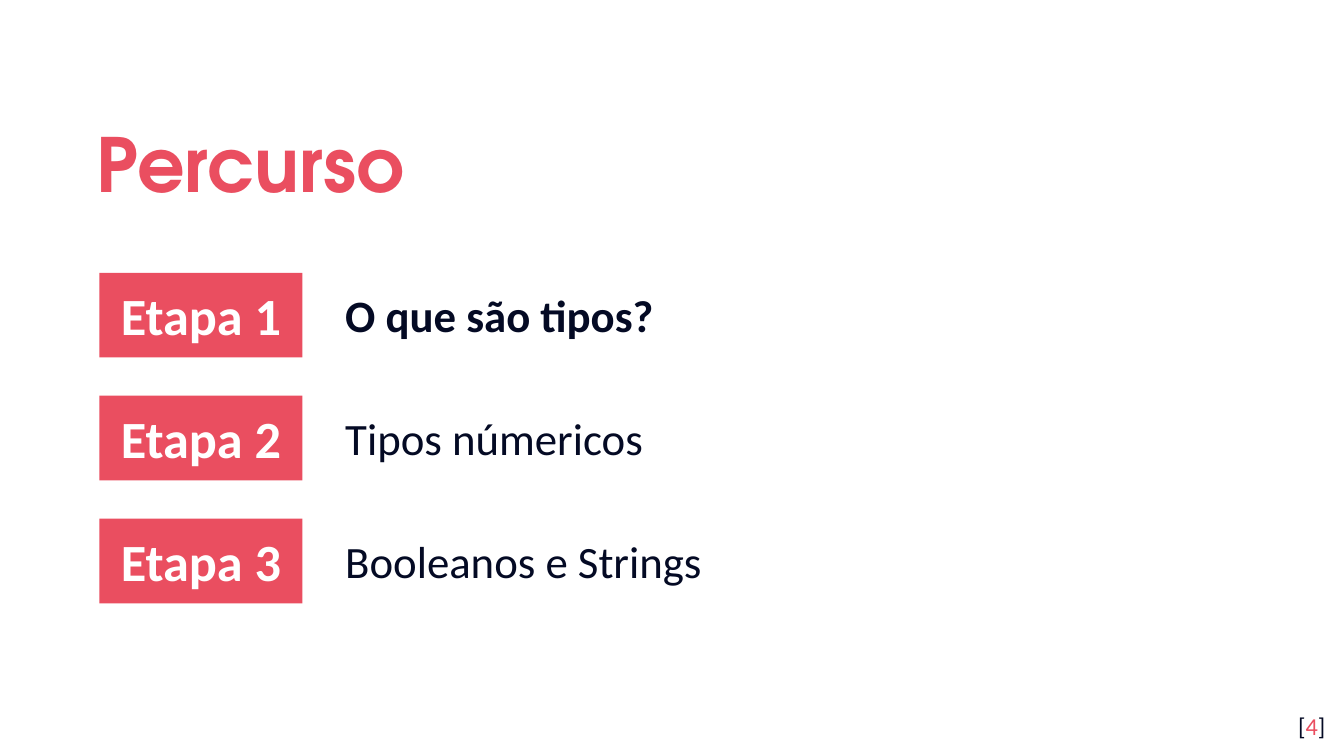
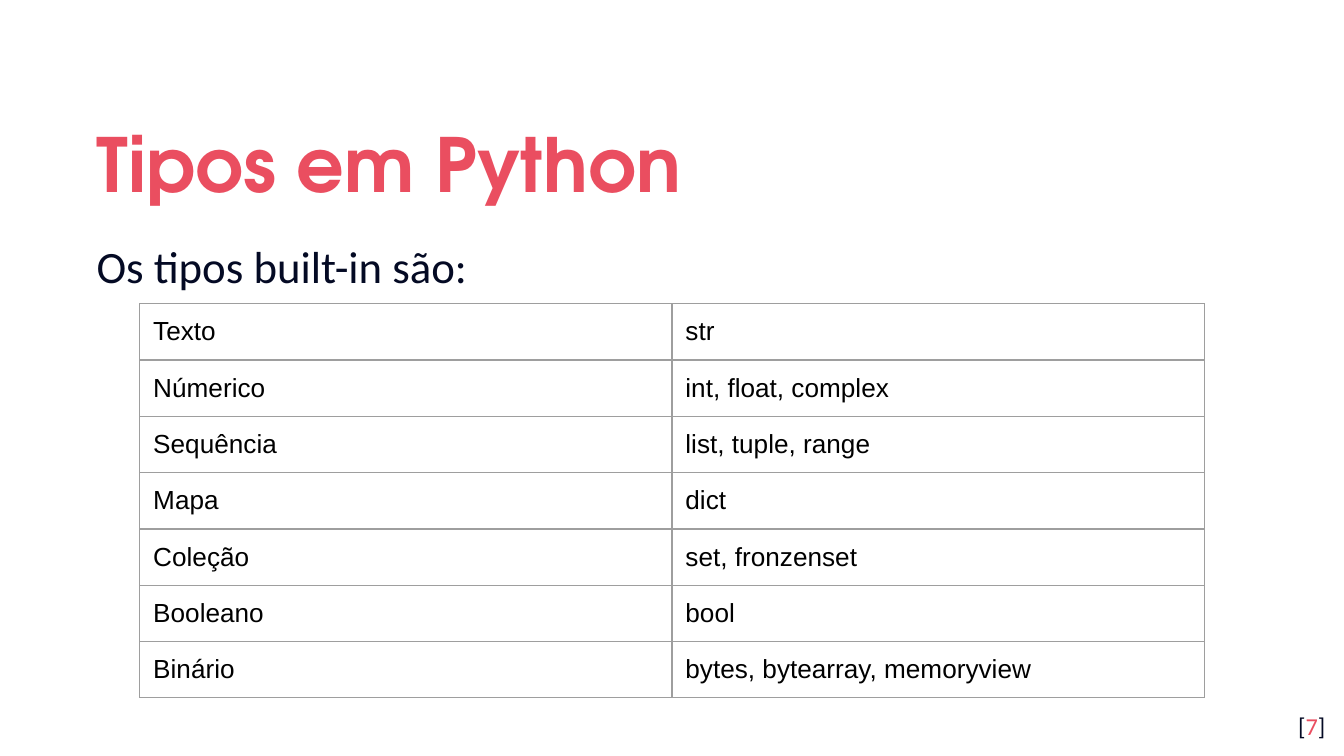
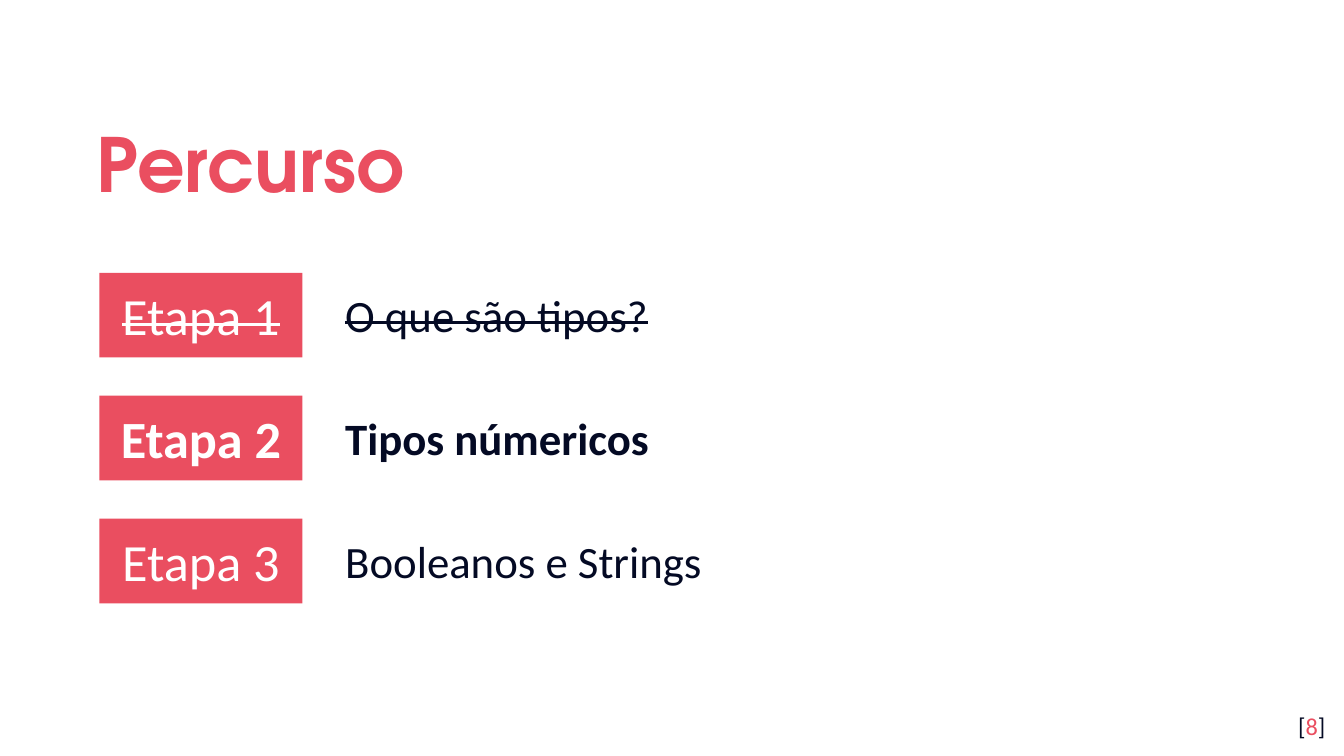
from lxml import etree
from pptx import Presentation
from pptx.dml.color import RGBColor
from pptx.enum.shapes import MSO_SHAPE
from pptx.enum.text import MSO_ANCHOR, MSO_AUTO_SIZE, PP_ALIGN
from pptx.oxml.ns import qn
from pptx.util import Inches, Pt

RECT = MSO_SHAPE.RECTANGLE
TOP, MID = MSO_ANCHOR.TOP, MSO_ANCHOR.MIDDLE
FIXED = MSO_AUTO_SIZE.NONE
LEFT, CENTER = PP_ALIGN.LEFT, PP_ALIGN.CENTER
RIGHT, FULL = PP_ALIGN.RIGHT, PP_ALIGN.JUSTIFY

WIDE, HIGH = Inches(10), Inches(5.625)
UNIT = WIDE // 100
PINK, NAVY, WHITE, BLACK, GRAY = "EA4E60", "040A24", "FFFFFF", "000000", "9E9E9E"
HEAD, BODY, CELL = "TeX Gyre Adventor", "Calibri", "Arial"

TITLE = (6.2, 7, 87.7, 9.2)
LEAD = (6.2, 16.2, 87.7, 33.7)
STEPS = (7.4, 20.3, 84.8, 24.6)
GRID = (10.4, 22.6, 79.2, 29.3)
PAGE = (93.6, 51.9, 6, 4.3)

TOPICS = ["O que são tipos?", "Tipos númericos", "Booleanos e Strings"]
TYPES = [
    ("Texto", "str"),
    ("Númerico", "int, float, complex"),
    ("Sequência", "list, tuple, range"),
    ("Mapa", "dict"),
    ("Coleção", "set, fronzenset"),
    ("Booleano", "bool"),
    ("Binário", "bytes, bytearray, memoryview"),
]


def color(code):
    return RGBColor.from_string(code)


def scale(box):
    return [round(n * UNIT) for n in box]


def write(frame, *parts, size=24, font=BODY, ink=NAVY, bold=False, strike=False,
          align=LEFT, anchor=TOP, space=1, hang=0, pad=1):
    frame.word_wrap = True
    frame.auto_size = FIXED
    frame.vertical_anchor = anchor
    frame.margin_left = frame.margin_right = UNIT
    frame.margin_top = frame.margin_bottom = round(pad * UNIT)
    para = frame.paragraphs[0]
    para.alignment = align
    para.line_spacing = space
    if hang:
        props = para._p.get_or_add_pPr()
        props.set("marL", str(hang * UNIT))
        props.set("indent", str(-hang * UNIT))
    for part in parts:
        text, tone = part if isinstance(part, tuple) else (part, ink)
        run = para.add_run()
        run.text = text
        run.font.size = Pt(size)
        run.font.name = font
        run.font.bold = bold
        run.font.color.rgb = color(tone)
        if strike:
            run.font._element.set("strike", "sngStrike")


def add_text(slide, box, *parts, **form):
    write(slide.shapes.add_textbox(*scale(box)).text_frame, *parts, **form)


def add_slide(deck, title, page):
    slide = deck.slides.add_slide(deck.slide_layouts[5])
    head = slide.shapes.title
    head.left, head.top, head.width, head.height = scale(TITLE)
    write(head.text_frame, title, size=40, font=HEAD, ink=PINK, bold=True,
          anchor=MID, space=1.15)
    add_text(slide, PAGE, "[", (str(page), PINK), "]", size=13, align=RIGHT)
    return slide


def add_step(slide, box, label, topic, strong, bold, strike):
    left, top, width, height = box
    tag = slide.shapes.add_shape(RECT, *scale((left, top, 15.1, height)))
    tag.shadow.inherit = False
    tag.fill.solid()
    tag.fill.fore_color.rgb = color(PINK)
    tag.line.fill.background()
    write(tag.text_frame, label, size=28, ink=WHITE, bold=strong,
          strike=strike, align=CENTER, anchor=MID)
    add_text(slide, (left + 17.3, top + 0.6, width - 17.3, 5), topic,
             bold=bold, strike=strike, hang=5, pad=0.5)


def add_steps(slide, box, now, strong):
    left, top, width, height = box
    tall = 6.3
    pitch = (height - tall) / (len(TOPICS) - 1)
    for i, topic in enumerate(TOPICS):
        add_step(slide, (left, top + i * pitch, width, tall), f"Etapa {i + 1}",
                 topic, strong or i == now, i == now, i < now)


def add_edges(cell):
    props = cell._tc.get_or_add_tcPr()
    for i, side in enumerate(("lnL", "lnR", "lnT", "lnB")):
        edge = etree.Element(qn(f"a:{side}"), w=str(Pt(0.75)))
        fill = etree.SubElement(edge, qn("a:solidFill"))
        etree.SubElement(fill, qn("a:srgbClr"), val=GRAY)
        props.insert(i, edge)


def add_grid(slide, box, rows):
    table = slide.shapes.add_table(len(rows), len(rows[0]), *scale(box)).table
    table.first_row = table.horz_banding = False
    for r, row in enumerate(rows):
        for c, text in enumerate(row):
            cell = table.cell(r, c)
            cell.margin_left = cell.margin_right = UNIT
            cell.margin_top = cell.margin_bottom = UNIT
            cell.fill.background()
            add_edges(cell)
            para = cell.text_frame.paragraphs[0]
            run = para.add_run()
            run.text = text
            run.font.size = Pt(14)
            run.font.name = CELL
            run.font.color.rgb = color(BLACK)


def add_path(deck, page, now, strong=False):
    slide = add_slide(deck, "Percurso", page)
    add_steps(slide, STEPS, now, strong)


def add_types(deck, page):
    slide = add_slide(deck, "Tipos em Python", page)
    add_text(slide, LEAD, "Os tipos built-in são:", align=FULL, space=1.15)
    add_grid(slide, GRID, TYPES)


def main():
    deck = Presentation()
    deck.slide_width, deck.slide_height = WIDE, HIGH
    add_path(deck, 4, 0, strong=True)
    add_types(deck, 7)
    add_path(deck, 8, 1)
    deck.save("out.pptx")


if __name__ == "__main__":
    main()
